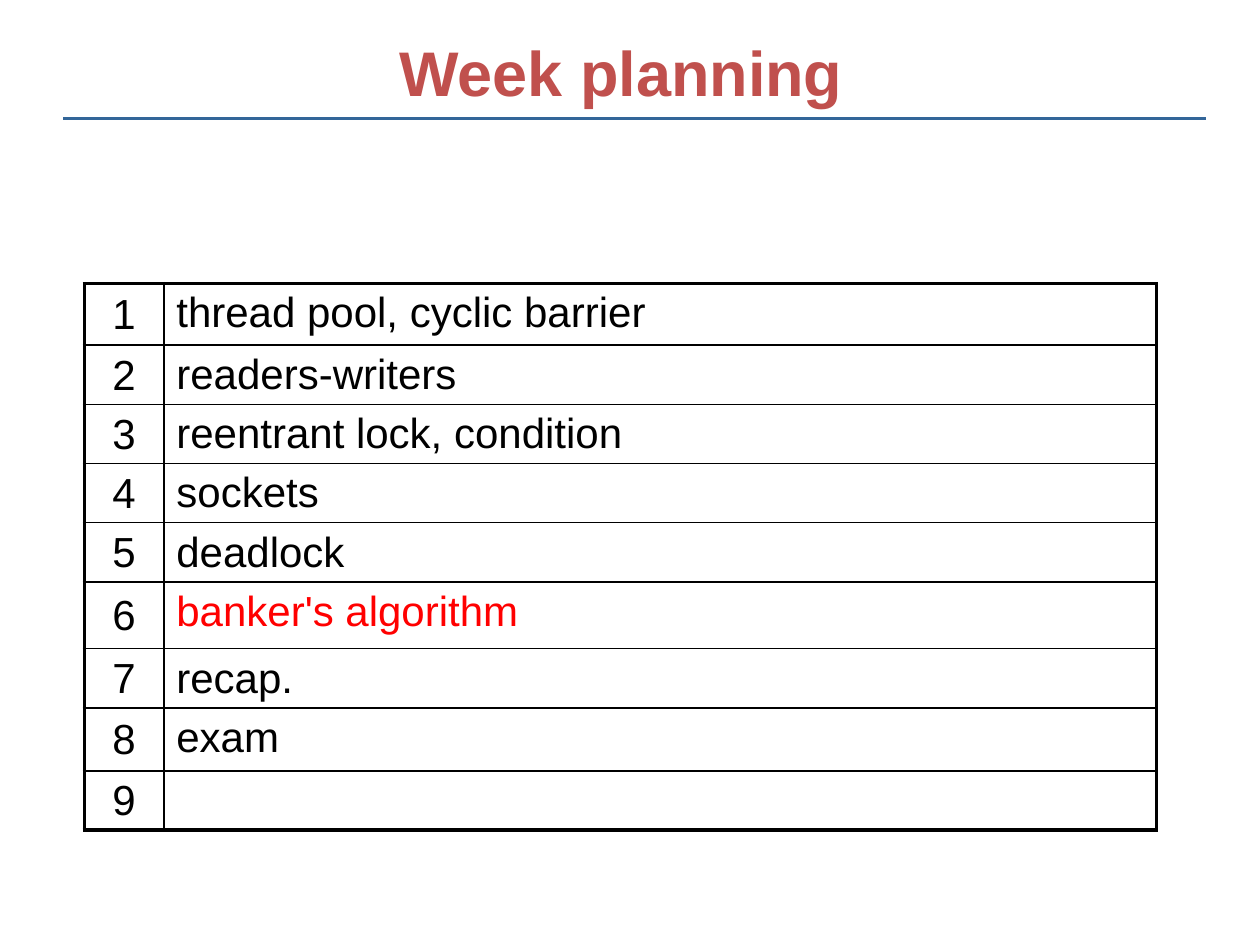
from dataclasses import dataclass

from lxml.etree import SubElement
from pptx import Presentation
from pptx.dml.color import RGBColor as RGB
from pptx.enum.shapes import MSO_CONNECTOR as Link
from pptx.enum.text import MSO_ANCHOR as Anchor, PP_ALIGN as Align
from pptx.oxml.ns import qn
from pptx.util import Inches, Pt


@dataclass(frozen=True)
class Theme:
    font: str = "Arial"
    title: str = "C0504D"
    rule: str = "336699"
    ink: str = "000000"
    alert: str = "FF0000"
    head: int = 36
    body: int = 24
    thin: float = 1
    thick: float = 2.25


THEME = Theme()
TOPICS = [
    "thread pool, cyclic barrier", "readers-writers",
    "reentrant lock, condition", "sockets", "deadlock",
    "banker's algorithm", "recap.", "exam", "",
]
CURRENT = 6
ROW = 0.47
TALL = {1: 0.49, 6: 0.53, 8: 0.5}


def style(para, size, color, bold=False, align=Align.LEFT):
    para.alignment = align
    font = para.font
    font.name, font.size, font.bold = THEME.font, Pt(size), bold
    font.color.rgb = RGB.from_string(color)


def add_title(slide, x, y, w, h):
    box = slide.shapes.add_textbox(Inches(x), Inches(y), Inches(w), Inches(h))
    frame = box.text_frame
    frame.word_wrap = True
    frame.vertical_anchor = Anchor.MIDDLE
    frame.text = "Week planning "
    style(frame.paragraphs[0], THEME.head, THEME.title, True, Align.CENTER)


def add_rule(slide, x, y, w):
    line = slide.shapes.add_connector(
        Link.STRAIGHT, Inches(x), Inches(y), Inches(x + w), Inches(y))
    line.line.color.rgb = RGB.from_string(THEME.rule)
    line.line.width = Pt(1.5)
    SubElement(line._element.spPr, qn("a:effectLst"))


def set_edges(cell, outer):
    """Draw all four borders, thick on the table's outer sides."""
    props = cell._tc.get_or_add_tcPr()
    for at, (side, thick) in enumerate(outer.items()):
        width = Pt(THEME.thick if thick else THEME.thin)
        edge = SubElement(props, qn(f"a:ln{side}"), w=str(width))
        fill = SubElement(edge, qn("a:solidFill"))
        SubElement(fill, qn("a:srgbClr"), val=THEME.ink)
        props.insert(at, edge)


def add_plan(slide, x, y, w, num):
    """Table of week numbers and topics; num is the first column's width."""
    count = len(TOPICS)
    sizes = [TALL.get(week, ROW) for week in range(1, count + 1)]
    table = slide.shapes.add_table(
        count, 2, Inches(x), Inches(y), Inches(w), Inches(sum(sizes))).table
    table.first_row = table.horz_banding = False
    for col, width in zip(table.columns, (num, w - num)):
        col.width = Inches(width)
    for row, size in zip(table.rows, sizes):
        row.height = Inches(size)

    for week, topic in enumerate(TOPICS, 1):
        color = THEME.alert if week == CURRENT else THEME.ink
        parts = [(str(week), THEME.ink, Align.CENTER, Anchor.MIDDLE),
                 (topic, color, Align.LEFT, Anchor.TOP)]
        for col, (text, tint, align, anchor) in enumerate(parts):
            cell = table.cell(week - 1, col)
            cell.text = text
            cell.vertical_anchor = anchor
            cell.margin_top, cell.margin_bottom = Inches(0.05), Inches(0.04)
            cell.fill.background()
            style(cell.text_frame.paragraphs[0], THEME.body, tint, align=align)
            set_edges(cell, {"L": col == 0, "R": col == 1,
                             "T": week == 1, "B": week == count})


def main():
    deck = Presentation()
    deck.slide_width, deck.slide_height = Inches(10), Inches(7.5)
    slide = deck.slides.add_slide(deck.slide_layouts[6])
    add_rule(slide, 0.5, 0.94, 9.07)
    add_plan(slide, 0.67, 2.25, 8.51, 0.63)
    add_title(slide, 0, 0.21, 10, 0.71)
    deck.save("out.pptx")


if __name__ == "__main__":
    main()
